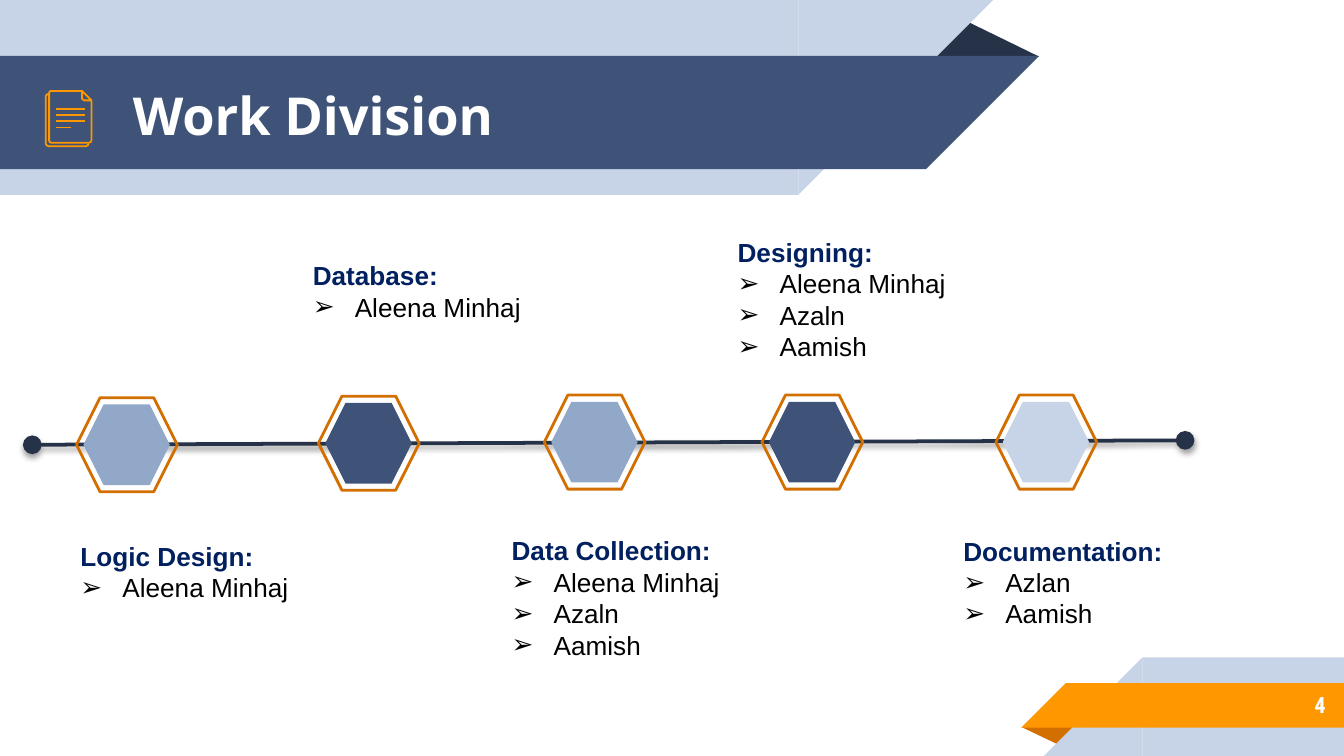
import pptx
import pptx.util
import pptx.dml.color
import pptx.enum.shapes
import pptx.enum.text
import pptx.oxml
import pptx.oxml.ns

Pt = pptx.util.Pt
Kind = pptx.enum.shapes.MSO_SHAPE
Anchor = pptx.enum.text.MSO_ANCHOR
Align = pptx.enum.text.PP_ALIGN
RGB = pptx.dml.color.RGBColor.from_string
NS = pptx.oxml.ns.nsdecls("a")
COLORS = {
    "ink": "263248", "navy": "3F5378", "steel": "92A8C8", "pale": "C7D3E6",
    "orange": "FF9800", "rust": "D26F00", "heading": "002060",
    "white": "FFFFFF", "black": "000000",
}

deck = pptx.Presentation()
deck.slide_width, deck.slide_height = Pt(720), Pt(405)
page = deck.slides.add_slide(deck.slide_layouts[6])


def add_block(kind, left, top, width, height, fill=None, turn=0):
    """Add a preset shape, filled or outlined in rust."""
    shape = page.shapes.add_shape(kind, Pt(left), Pt(top), Pt(width), Pt(height))
    shape.shadow.inherit = False
    shape.rotation = turn
    if fill:
        shape.fill.solid()
        shape.fill.fore_color.rgb = RGB(COLORS[fill])
        shape.line.fill.background()
    else:
        shape.fill.background()
        shape.line.color.rgb = RGB(COLORS["rust"])
        shape.line.width = Pt(1.5)
    return shape


def add_span(para, text, font, size, color, bold):
    """Add one formatted run to a paragraph."""
    span = para.add_run()
    span.text = text
    span.font.name, span.font.size, span.font.bold = font, Pt(size), bold
    span.font.color.rgb = RGB(COLORS[color])


# Header ribbon and footer ribbon: each band is a rectangle with a slanted end
fold = add_block(Kind.ISOSCELES_TRIANGLE, 495.4, 10.1, 61.2, 20.2, "ink")
fold.adjustments[0] = 0.324
for top, width, height, fill in [(0, 427.7, 104.4, "pale"), (30, 496.1, 60.6, "navy")]:
    add_block(Kind.RECTANGLE, 0, top, width, height, fill)
    add_block(Kind.RIGHT_TRIANGLE, width, top, height, height, fill, 90)

fold = add_block(Kind.ISOSCELES_TRIANGLE, 547.2, 389.5, 31, 10, "rust", 180)
fold.adjustments[0] = 0.324
for left, top, height, fill in [(612, 352.2, 52.8, "pale"), (571, 366, 23.8, "orange")]:
    add_block(Kind.RECTANGLE, left, top, 720 - left, height, fill)
    add_block(Kind.RIGHT_TRIANGLE, left - height, top, height, height, fill, 270)

# Title and page number
for text, left, top, width, height, font, size, align in [
    ("Work Division", 64.1, 31, 414, 60.5, "Open Sans", 28, Align.LEFT),
    ("4", 599.8, 365, 117.4, 25.2, "Roboto Condensed", 12, Align.RIGHT),
]:
    box = page.shapes.add_textbox(Pt(left), Pt(top), Pt(width), Pt(height))
    frame = box.text_frame
    frame.word_wrap = True
    frame.vertical_anchor = Anchor.MIDDLE
    frame.margin_left = frame.margin_right = Pt(7.2)
    frame.margin_top = frame.margin_bottom = Pt(7.2)
    para = frame.paragraphs[0]
    para.alignment = align
    add_span(para, text, font, size, "white", True)

# Document icon: back sheet, front sheet, folded corner, text lines
icon_strokes = [
    ([(47.5, 77), (47.2, 77.7), (46.1, 78.4), (26, 78.4), (24.9, 77.8), (24.5, 77),
      (24.5, 51.8), (24.9, 50.8), (25.9, 50.4)], False),
    ([(49, 54), (49, 75.2), (48.6, 76.1), (47.6, 76.5), (27.5, 76.5), (26.6, 76.1),
      (26.3, 75.2), (26.3, 49.9), (26.6, 49), (27.5, 48.7), (43.9, 48.7)], False),
    ([(43.9, 52.6), (43.9, 48.7), (49, 53.8), (45.2, 53.8), (44.3, 53.4)], True),
]
for row, right in enumerate([45.5, 45.5, 45.5, 38.3]):
    height = 58.4 + 3.3 * row
    icon_strokes.append(([(right, height), (30, height)], False))
for points, closed in icon_strokes:
    corners = [(Pt(x), Pt(y)) for x, y in points]
    outline = page.shapes.build_freeform(*corners[0])
    outline.add_line_segments(corners[1:], close=closed)
    stroke = outline.convert_to_shape()
    stroke.shadow.inherit = False
    stroke.fill.background()
    stroke.line.color.rgb = RGB(COLORS["orange"])
    stroke.line.width = Pt(0.96)

# Timeline
timeline = page.shapes.add_connector(
    pptx.enum.shapes.MSO_CONNECTOR.STRAIGHT, Pt(17.3), Pt(238.3), Pt(634.9), Pt(235.9))
timeline.line.color.rgb = RGB(COLORS["ink"])
timeline.line.width = Pt(2)
line_xml = timeline.line._get_or_add_ln()
for end in ("headEnd", "tailEnd"):
    line_xml.append(pptx.oxml.parse_xml(f'<a:{end} {NS} type="oval" w="lg" len="lg"/>'))
timeline._element.spPr.append(pptx.oxml.parse_xml(
    f'<a:effectLst {NS}><a:outerShdw blurRad="40000" dist="20000" dir="5400000" '
    'rotWithShape="0"><a:srgbClr val="000000"><a:alpha val="38000"/></a:srgbClr>'
    '</a:outerShdw></a:effectLst>'))

for left, top, fill in [(41, 213.1, "steel"), (170.6, 212.3, "navy"),
                        (291.6, 211.7, "steel"), (408.2, 211.7, "navy"),
                        (533.5, 211.7, "pale")]:
    add_block(Kind.HEXAGON, left + 3.7, top + 3.6, 46.3, 43.2, fill)
    add_block(Kind.HEXAGON, left, top, 54, 50.4)

# Tasks and the people on them
tasks = [
    ("Logic Design:", ["Aleena Minhaj"], 36, 285.8, 134.6, 41),
    ("Database:", ["Aleena Minhaj"], 160.5, 135.6, 139, 58.3),
    ("Data Collection:", ["Aleena Minhaj", "Azaln", "Aamish"], 267, 283, 157, 74.9),
    ("Designing:", ["Aleena Minhaj", "Azaln", "Aamish"], 388.1, 123, 163.4, 92.2),
    ("Documentation:", ["Azlan", "Aamish"], 509, 283, 149, 58.3),
]
for heading, people, left, top, width, height in tasks:
    box = page.shapes.add_textbox(Pt(left), Pt(top), Pt(width), Pt(height))
    frame = box.text_frame
    frame.word_wrap = True
    add_span(frame.paragraphs[0], heading, "Arial", 14, "heading", True)
    for person in people:
        para = frame.add_paragraph()
        add_span(para, person, "Arial", 14, "black", False)
        props = para._p.get_or_add_pPr()
        props.set("marL", str(Pt(22.5)))
        props.set("indent", str(-Pt(22.5)))
        for bullet in (f'<a:buClr {NS}><a:srgbClr val="{COLORS["black"]}"/></a:buClr>',
                       f'<a:buFont {NS} typeface="Arial"/>',
                       f'<a:buChar {NS} char="\u27a2"/>'):
            props.append(pptx.oxml.parse_xml(bullet))

deck.save("out.pptx")
